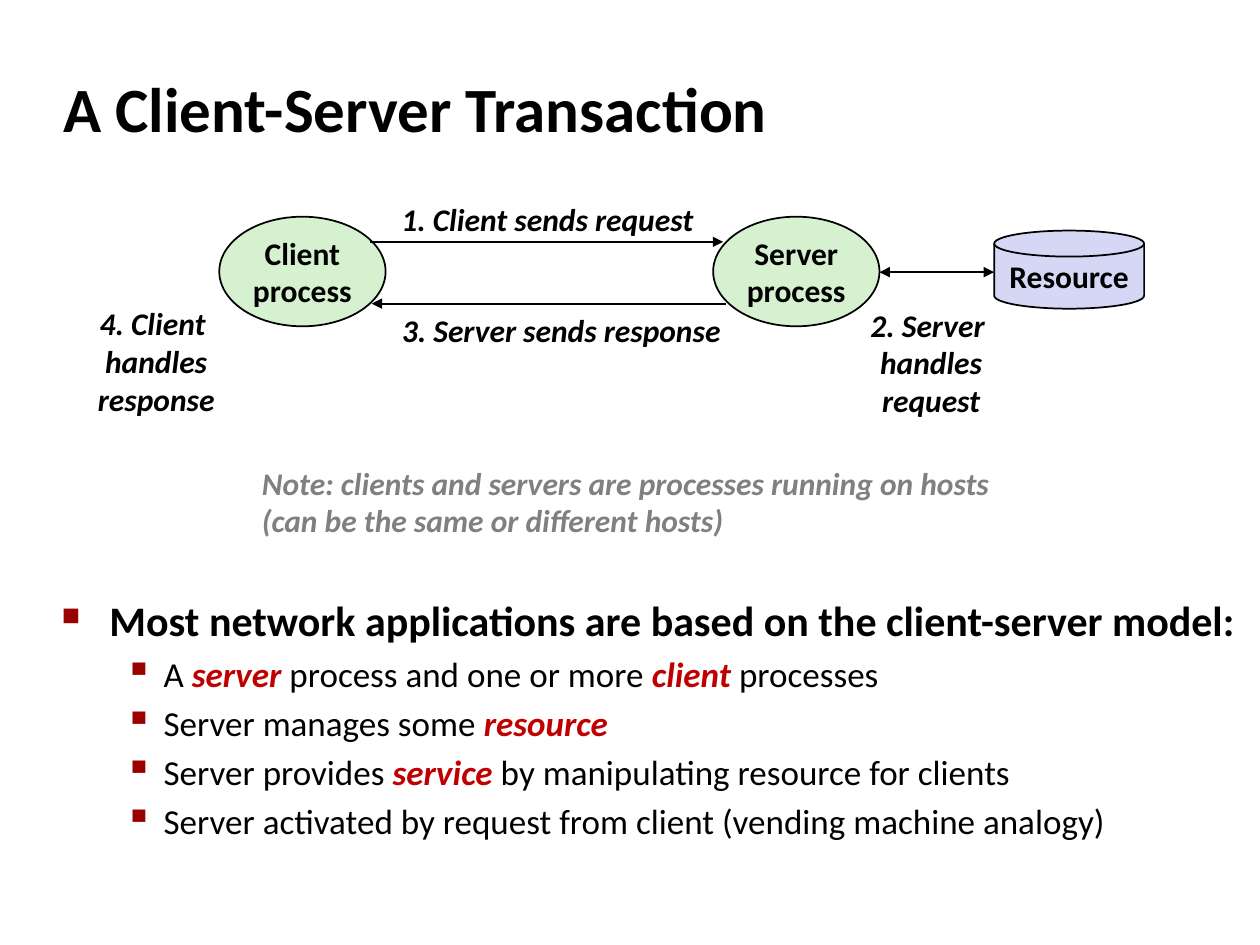
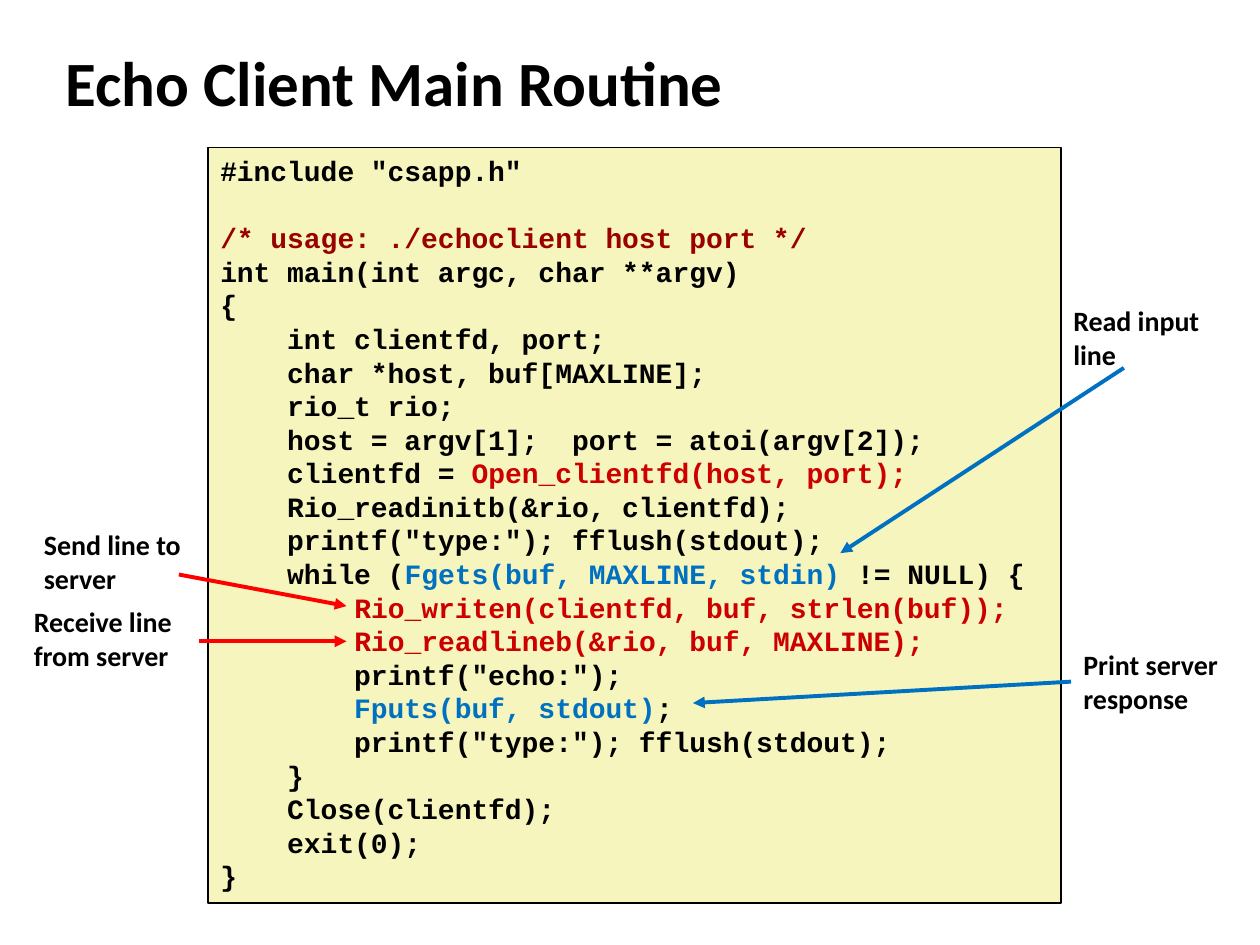
import dataclasses

import lxml.etree
import pptx
import pptx.dml.color
import pptx.enum.shapes
import pptx.enum.text
import pptx.oxml.ns
import pptx.text.text
import pptx.util

RGB = pptx.dml.color.RGBColor
SHAPE = pptx.enum.shapes.MSO_SHAPE
ALIGN = pptx.enum.text.PP_ALIGN
ANCHOR = pptx.enum.text.MSO_ANCHOR
qn = pptx.oxml.ns.qn

BLACK = RGB(0x00, 0x00, 0x00)
GRAY = RGB(0x80, 0x80, 0x80)
MAROON = RGB(0x99, 0x00, 0x00)
CRIMSON = RGB(0xC0, 0x00, 0x00)
RED = RGB(0xCC, 0x00, 0x00)
BRIGHT = RGB(0xFF, 0x00, 0x00)
BLUE = RGB(0x00, 0x70, 0xC0)
GREEN = RGB(0xD5, 0xF1, 0xCF)
LILAC = RGB(0xD6, 0xD6, 0xF5)
CREAM = RGB(0xF6, 0xF5, 0xBD)

SANS = "Calibri"
MONO = "Courier New"
PX = 9144

CODE = [
    [('#include "csapp.h"', BLACK)],
    [],
    [("/* usage: ./echoclient host port */", MAROON)],
    [("int main(int argc, char **argv)", BLACK)],
    [("{", BLACK)],
    [("    int clientfd, port;", BLACK)],
    [("    char *host, buf[MAXLINE];", BLACK)],
    [("    rio_t rio;", BLACK)],
    [("    host = argv[1];  port = atoi(argv[2]);", BLACK)],
    [("    clientfd = ", BLACK), ("Open_clientfd(host, port);", RED)],
    [("    Rio_readinitb(&rio, clientfd);", BLACK)],
    [('    printf("type:"); fflush(stdout);', BLACK)],
    [("    while (", BLACK), ("Fgets(buf, MAXLINE, stdin) ", BLUE), ("!= NULL) {", BLACK)],
    [("        ", BLACK), ("Rio_writen(clientfd, buf, strlen(buf));", RED)],
    [("        ", BLACK), ("Rio_readlineb(&rio, buf, MAXLINE);", RED)],
    [('        printf("echo:");', BLACK)],
    [("        Fputs(buf, stdout)", BLUE), (";", BLACK)],
    [('        printf("type:"); fflush(stdout);', BLACK)],
    [("    }", BLACK)],
    [("    Close(clientfd);", BLACK)],
    [("    exit(0);", BLACK)],
    [("}", BLACK)],
]

POINTS = [
    ["A ", "server", " process and one or more ", "client ", "processes"],
    ["Server manages some ", "resource"],
    ["Server provides ", "service", " by manipulating resource for clients"],
    ["Server activated by request from client (vending machine analogy)"],
]


def style(font, size, color=BLACK, bold=True, slant=False, name=SANS):
    font.name = name
    font.size = pptx.util.Pt(size)
    font.bold = bold
    font.italic = slant
    font.color.rgb = color


def add_run(para, text, size, *look, **more):
    run = para.add_run()
    run.text = text
    style(run.font, size, *look, **more)


def next_para(frame, first):
    return frame.paragraphs[0] if first else frame.add_paragraph()


def write(shape, lines, size, color=BLACK, slant=False, mid=False):
    frame = shape.text_frame
    frame.word_wrap = not mid
    frame.vertical_anchor = ANCHOR.MIDDLE if mid else ANCHOR.TOP
    for row, line in enumerate(lines):
        para = next_para(frame, row == 0)
        para.alignment = ALIGN.CENTER if mid else ALIGN.LEFT
        add_run(para, line, size, color, slant=slant)


@dataclasses.dataclass
class Pane:
    slide: object
    left: int
    top: int
    width: int
    height: int

    def fit(self, x, y, w, h):
        return [n * PX for n in (self.left + x, self.top + y, w, h)]

    def text(self, *box):
        return self.slide.shapes.add_textbox(*self.fit(*box))

    def shape(self, kind, box, fill):
        shape = self.slide.shapes.add_shape(kind, *self.fit(*box))
        shape.shadow.inherit = False
        shape.fill.solid()
        shape.fill.fore_color.rgb = fill
        shape.line.color.rgb = BLACK
        shape.line.width = pptx.util.Pt(1)
        return shape

    def arrow(self, start, end, color=BLACK, width=1, both=False):
        line = self.slide.shapes.add_connector(
            pptx.enum.shapes.MSO_CONNECTOR.STRAIGHT,
            *self.fit(*start, 0, 0)[:2], *self.fit(*end, 0, 0)[:2])
        line.line.color.rgb = color
        line.line.width = pptx.util.Pt(width)
        stroke = line.line._get_or_add_ln()
        for tag in ("a:headEnd", "a:tailEnd") if both else ("a:tailEnd",):
            lxml.etree.SubElement(stroke, qn(tag), type="triangle")
        lxml.etree.SubElement(line._element.spPr, qn("a:effectLst"))
        return line


def add_slide(deck, text, x, y, w):
    slide = deck.slides.add_slide(deck.slide_layouts[5])
    title = slide.shapes.title
    title.left, title.top, title.width, title.height = (n * PX for n in (x, y, w, 63))
    frame = title.text_frame
    frame.auto_size = pptx.enum.text.MSO_AUTO_SIZE.NONE
    frame.vertical_anchor = ANCHOR.MIDDLE
    para = frame.paragraphs[0]
    para.alignment = ALIGN.LEFT
    add_run(para, text, 36)
    return slide


def draw_flow(pane):
    def node(x, lines):
        write(pane.shape(SHAPE.OVAL, (x, 18, 132, 87), GREEN), lines, 18, mid=True)

    node(107, ["Client", "process"])
    pane.arrow((227, 38), (507, 38))
    node(499, ["Server", "process"])
    pane.arrow((509, 87), (228, 87))
    pane.arrow((631, 62), (722, 62), both=True)
    disk = pane.shape(SHAPE.FLOWCHART_MAGNETIC_DISK, (722, 29, 119, 62), LILAC)
    write(disk, ["Resource"], 18, mid=True)
    steps = [
        ((240, 0, 255, 40), ["1. Client sends request"]),
        ((613, 83, 118, 101), ["2. Server ", "handles", "request"]),
        ((240, 88, 277, 40), ["3. Server sends response"]),
        ((0, 82, 114, 101), ["4. Client ", "handles", "response"]),
    ]
    for box, lines in steps:
        write(pane.text(*box), lines, 18, slant=True, mid=True)
    note = ["Note: clients and servers are processes running on hosts",
            "(can be the same or different hosts)"]
    write(pane.text(131, 209, 611, 71), note, 18, GRAY, slant=True)


def add_bullet(para, mark, scale, edge, hang):
    props = para._p.get_or_add_pPr()
    props.set("marL", str(edge * PX))
    props.set("indent", str(-hang * PX))
    tint = lxml.etree.SubElement(props, qn("a:buClr"))
    lxml.etree.SubElement(tint, qn("a:srgbClr"), val=str(MAROON))
    lxml.etree.SubElement(props, qn("a:buSzPct"), val=str(scale * 1000))
    lxml.etree.SubElement(props, qn("a:buChar"), char=mark)


def draw_points(pane):
    frame = pane.text(0, 0, pane.width, pane.height).text_frame
    frame.word_wrap = True
    head = frame.paragraphs[0]
    add_bullet(head, "■", 60, 38, 38)
    add_run(head, "Most network applications are based on the client-server model:", 24)
    for parts in POINTS:
        para = frame.add_paragraph()
        para.level = 1
        add_bullet(para, "▪", 110, 81, 31)
        para.space_before = pptx.util.Pt(4)
        for spot, part in enumerate(parts):
            key = spot % 2 == 1
            add_run(para, part, 20, CRIMSON if key else BLACK, key, key)


def draw_code(pane):
    frame = pane.shape(SHAPE.RECTANGLE, (0, 0, pane.width, pane.height), CREAM).text_frame
    frame.word_wrap = True
    frame.vertical_anchor = ANCHOR.TOP
    for row, parts in enumerate(CODE):
        para = next_para(frame, row == 0)
        para.alignment = ALIGN.LEFT
        for text, color in parts:
            add_run(para, text, 16, color, name=MONO)
        if not parts:
            end = para._p.get_or_add_endParaRPr()
            style(pptx.text.text.Font(end), 16, name=MONO)


def draw_notes(pane):
    notes = [
        ((8, 178, 167, 64), ["Send line to server"], (125, 220), (258, 245), BRIGHT),
        ((825, 0, 142, 64), ["Read input", "line"], (875, 56), (650, 203), BLUE),
        ((0, 239, 167, 64), ["Receive line from server"], (141, 273), (258, 273), BRIGHT),
        ((833, 273, 142, 64), ["Print server", "response"], (833, 305), (533, 322), BLUE),
    ]
    for box, lines, start, end, color in notes:
        label = pane.text(*box)
        write(label, lines, 16)
        line = pane.arrow(start, end, color, 2.25)
        if start == (box[0], box[1] + box[3] // 2):
            line.begin_connect(label, 1)


def main():
    deck = pptx.Presentation()
    deck.slide_width, deck.slide_height = 1000 * PX, 750 * PX

    slide = add_slide(deck, "A Client-Server Transaction", 40, 54, 783)
    draw_flow(Pane(slide, 67, 154, 841, 280))
    draw_points(Pane(slide, 39, 467, 952, 225))

    slide = add_slide(deck, "Echo Client Main Routine", 42, 33, 850)
    draw_code(Pane(slide, 165, 117, 677, 600))
    draw_notes(Pane(slide, 17, 236, 975, 337))

    deck.save("out.pptx")


if __name__ == "__main__":
    main()
